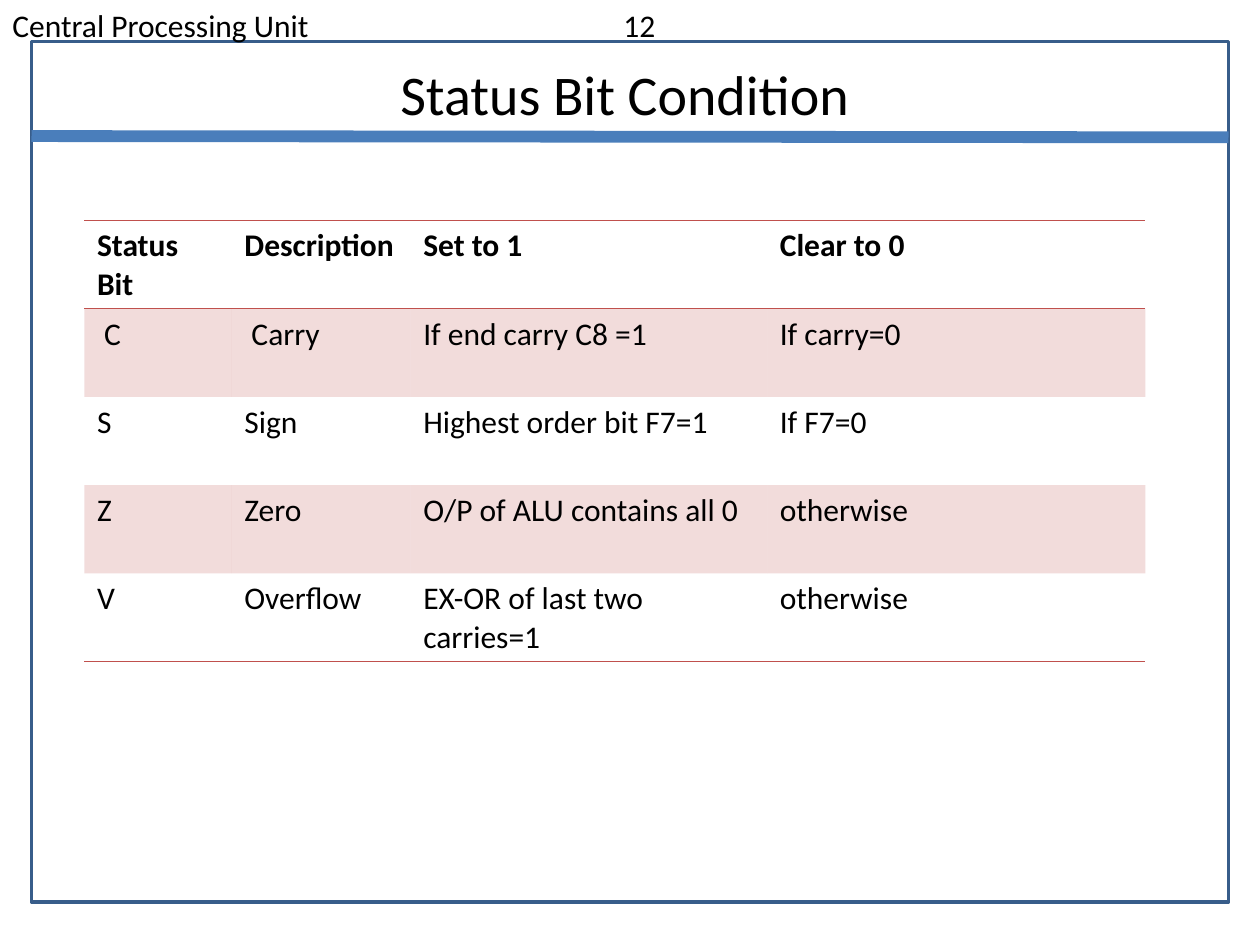
"""Build the "Status Bit Condition" slide with its table of status flags."""
from dataclasses import dataclass

from lxml import etree
from pptx import Presentation
from pptx.dml.color import RGBColor
from pptx.enum import shapes, text
from pptx.oxml import ns
from pptx.util import Inches, Pt


@dataclass(frozen=True)
class Theme:
    font: str = "Calibri"
    ink: str = "000000"
    frame: str = "385D8A"
    rule: str = "4A7EBB"
    accent: str = "C0504D"
    band_alpha: int = 20
    body: int = 18
    title: int = 32
    frame_width: float = 2
    rule_width: float = 6.75
    border_width: float = 0.45


@dataclass(frozen=True)
class StatusRow:
    bit: str
    description: str
    set_to_1: str
    clear_to_0: str
    bold: bool = False
    banded: bool = False
    borders: str = ""

    @property
    def texts(self) -> tuple[str, ...]:
        return self.bit, self.description, self.set_to_1, self.clear_to_0


THEME = Theme()
COLUMNS = (1.17, 1.42, 2.83, 3)
ROW_HEIGHT = 0.7
ROWS = (
    StatusRow("Status Bit", "Description", "Set to 1", "Clear to 0", bold=True, borders="TB"),
    StatusRow(" C", " Carry", "If end carry C8 =1", "If carry=0", banded=True, borders="T"),
    StatusRow("S", "Sign", "Highest order bit F7=1", "If F7=0"),
    StatusRow("Z", "Zero", "O/P of ALU contains all 0", "otherwise", banded=True),
    StatusRow("V", "Overflow", "EX-OR of last two carries=1", "otherwise", borders="B"),
)


def rgb(value: str) -> RGBColor:
    return RGBColor.from_string(value)


def add_child(parent, tag: str, **attrs):
    return etree.SubElement(parent, ns.qn(tag), {k: str(v) for k, v in attrs.items()})


def set_attributes(target, values: dict) -> None:
    for name, value in values.items():
        setattr(target, name, value)


def write(tf, content: str, size: int, align=text.PP_ALIGN.LEFT, bold: bool = False,
          tab: float | None = None) -> None:
    p = tf.paragraphs[0]
    if tab is not None:
        tabs = add_child(p._p.get_or_add_pPr(), "a:tabLst")
        add_child(tabs, "a:tab", pos=Inches(tab), algn="l")
    p.alignment = align
    r = p.add_run()
    r.text = content
    set_attributes(r.font, {"name": THEME.font, "size": Pt(size), "bold": bold})
    r.font.color.rgb = rgb(THEME.ink)


def set_borders(cell, sides: str) -> None:
    tc_pr = cell._tc.get_or_add_tcPr()
    for index, side in enumerate("LRTB"):
        ln = add_child(tc_pr, f"a:ln{side}", w=Pt(THEME.border_width))
        if side in sides:
            add_child(add_child(ln, "a:solidFill"), "a:srgbClr", val=THEME.accent)
        else:
            add_child(ln, "a:noFill")
        tc_pr.insert(index, ln)


def set_band(cell, banded: bool) -> None:
    if not banded:
        cell.fill.background()
        return
    cell.fill.solid()
    cell.fill.fore_color.rgb = rgb(THEME.accent)
    color = cell._tc.tcPr.find(".//" + ns.qn("a:srgbClr"))
    add_child(color, "a:alpha", val=THEME.band_alpha * 1000)


def add_frame(s) -> None:
    sp = s.shapes.add_shape(shapes.MSO_SHAPE.RECTANGLE, Inches(0.25), Inches(0.33),
                            Inches(9.5), Inches(6.83))
    sp.shadow.inherit = False
    sp.fill.background()
    sp.line.color.rgb = rgb(THEME.frame)
    sp.line.width = Pt(THEME.frame_width)


def add_header(s) -> None:
    tf = s.shapes.add_textbox(0, 0, Inches(10), Inches(0.41)).text_frame
    tf.word_wrap = True
    write(tf, "Central Processing Unit\t12", THEME.body, tab=4.85)


def add_rule(s) -> None:
    rule = s.shapes.add_connector(shapes.MSO_CONNECTOR.STRAIGHT, Inches(0.25), Inches(1.08),
                                  Inches(9.75), Inches(1.09))
    rule.line.color.rgb = rgb(THEME.rule)
    rule.line.width = Pt(THEME.rule_width)
    add_child(rule._element.spPr, "a:effectLst")


def add_title(s) -> None:
    sp = s.shapes.title
    set_attributes(sp, {"left": Inches(0.75), "top": Inches(0.42),
                        "width": Inches(8.42), "height": Inches(0.64)})
    set_attributes(sp.text_frame, {"word_wrap": True, "auto_size": text.MSO_AUTO_SIZE.NONE,
                                   "vertical_anchor": text.MSO_ANCHOR.TOP})
    write(sp.text_frame, "Status Bit Condition", THEME.title, text.PP_ALIGN.CENTER)


def add_status_table(s, rows: tuple[StatusRow, ...]) -> None:
    table = s.shapes.add_table(len(rows), len(COLUMNS), Inches(0.67), Inches(1.75),
                               Inches(sum(COLUMNS)), Inches(ROW_HEIGHT * len(rows))).table
    for column, width in zip(table.columns, COLUMNS):
        column.width = Inches(width)
    for line, row in zip(table.rows, rows):
        line.height = Inches(ROW_HEIGHT)
        for cell, content in zip(line.cells, row.texts):
            write(cell.text_frame, content, THEME.body, bold=row.bold)
            set_band(cell, row.banded)
            set_borders(cell, row.borders)


def main() -> None:
    prs = Presentation()
    set_attributes(prs, {"slide_width": Inches(10), "slide_height": Inches(7.5)})
    s = prs.slides.add_slide(prs.slide_layouts[5])
    add_frame(s)
    add_header(s)
    add_rule(s)
    add_title(s)
    add_status_table(s, ROWS)
    prs.save("out.pptx")


if __name__ == "__main__":
    main()
